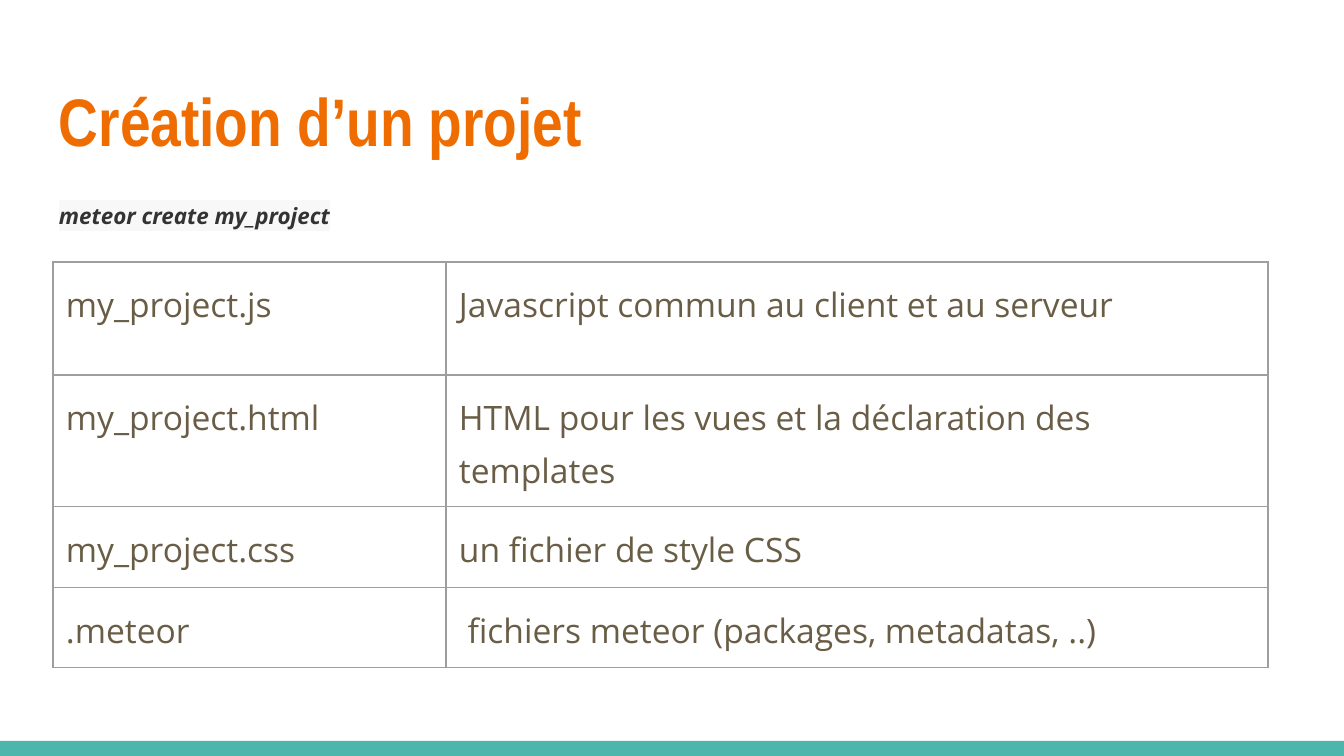
from lxml import etree
from pptx import Presentation
from pptx.dml.color import RGBColor
from pptx.enum.shapes import MSO_SHAPE
from pptx.enum.text import MSO_ANCHOR, MSO_AUTO_SIZE, PP_ALIGN
from pptx.oxml.ns import qn
from pptx.util import Pt

RECT = MSO_SHAPE.RECTANGLE
TOP = MSO_ANCHOR.TOP
FIXED = MSO_AUTO_SIZE.NONE
LEFT = PP_ALIGN.LEFT

# Content
TITLE = "Création d’un projet"
COMMAND = "meteor create my_project"
FILES = [
    ("my_project.js", "Javascript commun au client et au serveur"),
    ("my_project.html", "HTML pour les vues et la déclaration des templates"),
    ("my_project.css", "un fichier de style CSS"),
    (".meteor", " fichiers meteor (packages, metadatas, ..)"),
]

# Layout in px
WIDTH, HEIGHT = 1344, 756
MARGIN, INSET = 46, 13
BAR = 15
COLS = [393, 822]
ROWS = [113, 132, 81, 80]


def px(n):
    return round(n * 914400 / 134.4)


def color(code):
    return RGBColor.from_string(code)


def place(shape, left, top, width, height):
    shape.left, shape.top = px(left), px(top)
    shape.width, shape.height = px(width), px(height)


def inset(box):
    box.margin_left = box.margin_right = px(INSET)
    box.margin_top = box.margin_bottom = px(INSET)
    box.vertical_anchor = TOP


def style(para, face, size, code, line=1.0, after=0):
    para.alignment = LEFT
    para.line_spacing = line
    para.space_before, para.space_after = Pt(0), Pt(after)
    font = para.font
    font.name, font.size = face, Pt(size)
    font.color.rgb = color(code)
    return font


def fill_in(holder, text, *spot):
    place(holder, *spot)
    frame = holder.text_frame
    frame.text = text
    frame.word_wrap, frame.auto_size = True, FIXED
    inset(frame)
    return frame.paragraphs[0]


def add_fill(node, code):
    solid = etree.SubElement(node, qn("a:solidFill"))
    etree.SubElement(solid, qn("a:srgbClr"), val=code)


def border(cell, code, points):
    props = cell._tc.get_or_add_tcPr()
    for i, side in enumerate(("lnL", "lnR", "lnT", "lnB")):
        line = etree.Element(qn("a:" + side), w=str(Pt(points)))
        add_fill(line, code)
        props.insert(i, line)


deck = Presentation()
deck.slide_width, deck.slide_height = px(WIDTH), px(HEIGHT)
slide = deck.slides.add_slide(deck.slide_layouts[1])
shapes = slide.shapes
inner = WIDTH - 2 * MARGIN

# Title
para = fill_in(shapes.title, TITLE, MARGIN, 66, inner, 103)
style(para, "Arial Narrow", 36, "EF6C00").bold = True

# Command, highlighted and without a bullet
para = fill_in(slide.placeholders[1], COMMAND, MARGIN, 185, inner, 485)
font = style(para, "Open Sans", 12, "333333", 1.15, 16)
font.bold = font.italic = True
props = para._p.get_or_add_pPr()
props.set("marL", "0")
props.set("indent", "0")
props.find(qn("a:defRPr")).addprevious(etree.Element(qn("a:buNone")))
mark = etree.SubElement(para.runs[0]._r.get_or_add_rPr(), qn("a:highlight"))
etree.SubElement(mark, qn("a:srgbClr"), val="F8F8F8")

# Table of files
table = shapes.add_table(len(ROWS), len(COLS), px(53), px(262),
                         px(sum(COLS)), px(sum(ROWS))).table
table.first_row = table.horz_banding = False
for col, width in zip(table.columns, COLS):
    col.width = px(width)
for row, height, texts in zip(table.rows, ROWS, FILES):
    row.height = px(height)
    for cell, text in zip(row.cells, texts):
        cell.text = text
        inset(cell)
        cell.fill.background()
        border(cell, "9E9E9E", 0.75)
        style(cell.text_frame.paragraphs[0], "Open Sans", 18, "695D46", 1.15, 16)

# Bottom bar
bar = shapes.add_shape(RECT, 0, px(HEIGHT - BAR), px(WIDTH), px(BAR))
bar.shadow.inherit = False
bar.fill.solid()
bar.fill.fore_color.rgb = color("4DB6AC")
bar.line.fill.background()

deck.save("out.pptx")
